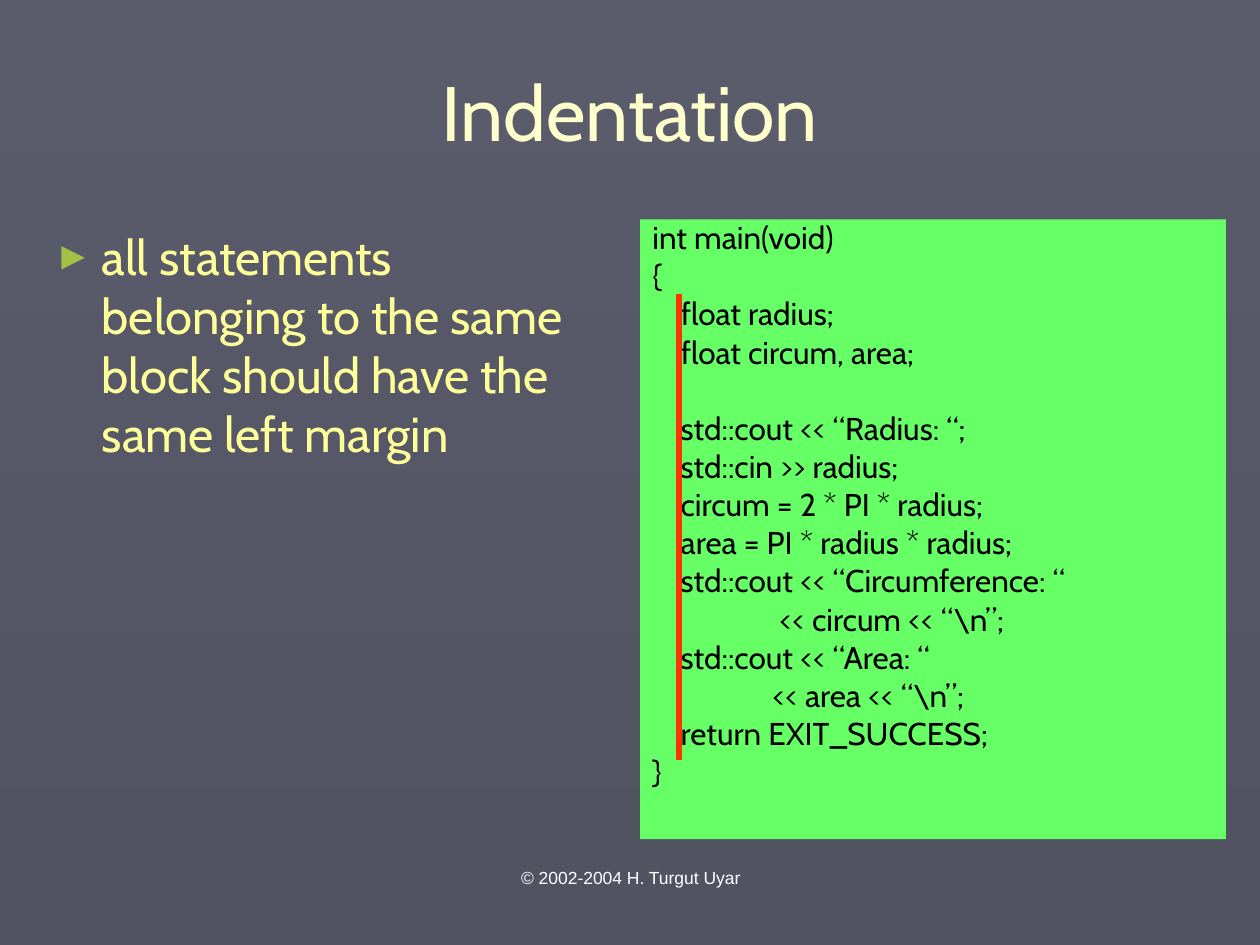
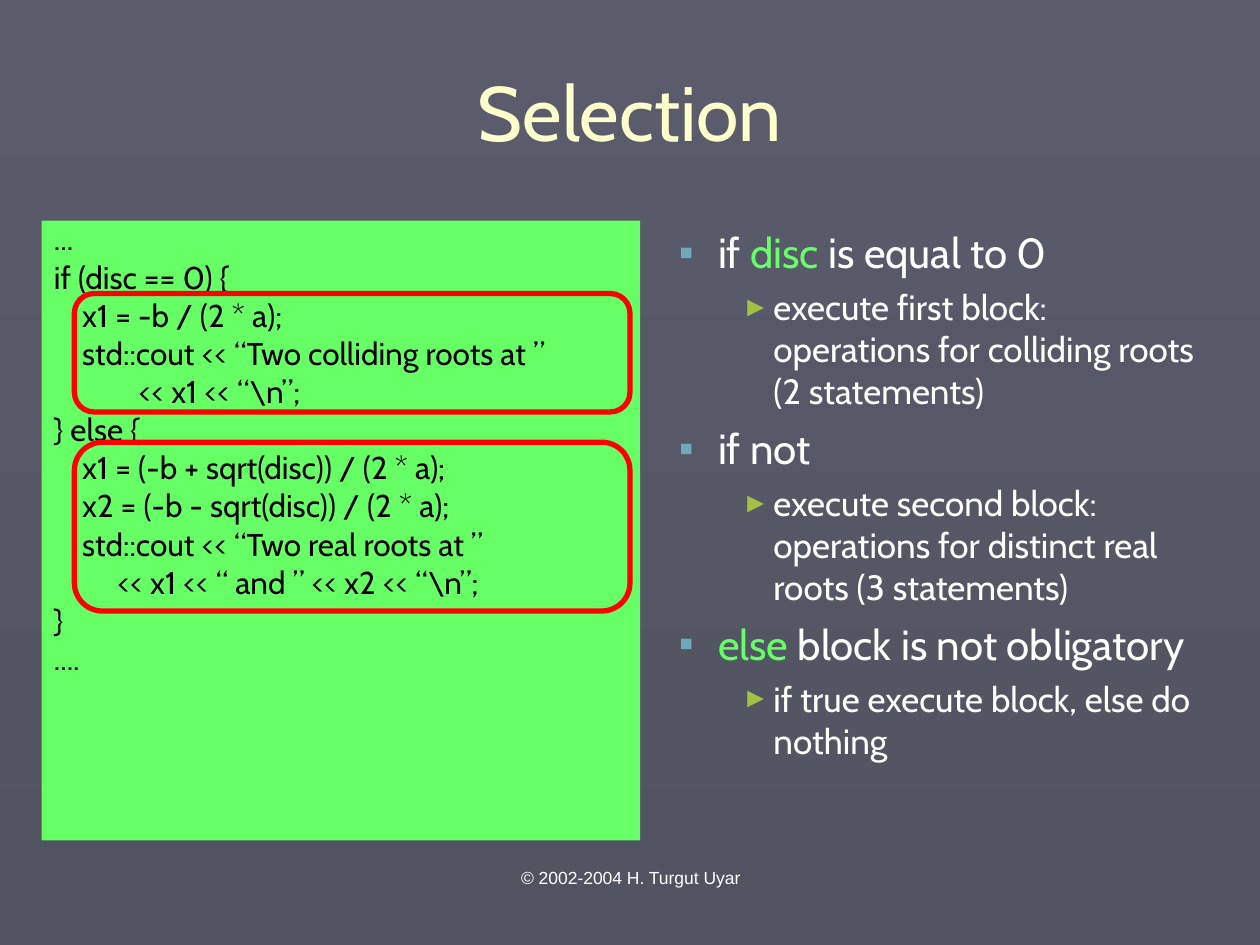
from lxml.etree import SubElement as Sub
from pptx import Presentation
from pptx.dml.color import RGBColor
from pptx.enum.shapes import MSO_CONNECTOR as Conn, MSO_SHAPE as Shape
from pptx.enum.text import MSO_ANCHOR as Anchor, PP_ALIGN as Align
from pptx.oxml.ns import qn
from pptx.util import Inches, Pt

rgb = RGBColor.from_string
GREEN, WHITE, CREAM, YELLOW = "66FF66", "FFFFFF", "FFFFCC", "FFFF99"
SPACE = 0.056  # width of one code column

# Text styles: font and paragraph values, then indents and bullet
TITLE = dict(font=dict(name="Cabin", size=Pt(44)), para=dict(alignment=Align.CENTER))
FOOT = dict(font=dict(name="Arial", size=Pt(10)), para=dict(alignment=Align.CENTER))
CODE = dict(font=dict(name="Cabin", size=Pt(18)),
            para=dict(line_spacing=0.8, space_before=Pt(4.5)))
MAIN = dict(font=dict(name="Cabin", size=Pt(28)), para=dict(space_before=Pt(7)),
            indent=(0.38, -0.38), bullet=("►", "A3C145", 80))
POINT = dict(font=dict(name="Cabin", size=Pt(24)), para=dict(space_before=Pt(6)),
             indent=(0.81, -0.31), bullet=("▪", "6FA9B7", 100))
DETAIL = dict(font=dict(name="Cabin", size=Pt(20)), para=dict(space_before=Pt(5)),
              indent=(1.25, -0.25), bullet=("►", "A3C145", 80))


def add_box(slide, left, top, width, height, fill=None):
    box = slide.shapes.add_textbox(*map(Inches, (left, top, width, height)))
    box.text_frame.word_wrap = True
    if fill:
        box.fill.solid()
        box.fill.fore_color.rgb = rgb(fill)
    return box.text_frame


def add_para(frame, style, *runs):
    para = frame.paragraphs[0]
    if para.runs:
        para = frame.add_paragraph()
    for key, value in style["para"].items():
        setattr(para, key, value)
    for text, color in runs:
        run = para.add_run()
        run.text = text
        for key, value in style["font"].items():
            setattr(run.font, key, value)
        run.font.color.rgb = rgb(color)
    props = para._p.get_or_add_pPr()
    if "indent" in style:
        for key, value in zip(("marL", "indent"), style["indent"]):
            props.set(key, str(Inches(value)))
    if "bullet" in style:
        char, color, size = style["bullet"]
        Sub(Sub(props, qn("a:buClr")), qn("a:srgbClr")).set("val", color)
        Sub(props, qn("a:buSzPct")).set("val", str(size * 1000))
        Sub(props, qn("a:buFont")).set("typeface", "Arial")
        Sub(props, qn("a:buChar")).set("char", char)
    return para


deck = Presentation()
deck.slide_width, deck.slide_height = Inches(10), Inches(7.5)

# Shared background
back = deck.slide_master.background.fill
back.gradient()
back.gradient_angle = 270
for stop, color, place in zip(back.gradient_stops, ("5A5C6C", "515361"), (0, 1)):
    stop.color.rgb = rgb(color)
    stop.position = place

# Code lines as (columns of indent, text)
circle = [
    (0, "int main(void)"),
    (0, "{"),
    (4, "float radius;"),
    (4, "float circum, area;"),
    (4, "std::cout << “Radius: “;"),
    (4, "std::cin >> radius;"),
    (4, "circum = 2 * PI * radius;"),
    (4, "area = PI * radius * radius;"),
    (4, "std::cout << “Circumference: “"),
    (18, "<< circum << “\\n”;"),
    (4, "std::cout << “Area: “"),
    (17, "<< area << “\\n”;"),
    (4, "return EXIT_SUCCESS;"),
    (0, "}"),
]
roots = [
    (0, "..."),
    (0, "if (disc == 0) {"),
    (4, "x1 = -b / (2 * a);"),
    (4, "std::cout << “Two colliding roots at ”"),
    (12, "<< x1 << “\\n”;"),
    (0, "} else {"),
    (4, "x1 = (-b + sqrt(disc)) / (2 * a);"),
    (4, "x2 = (-b - sqrt(disc)) / (2 * a);"),
    (4, "std::cout << “Two real roots at ”"),
    (9, "<< x1 << “ and ” << x2 << “\\n”;"),
    (0, "}"),
    (0, "...."),
]

# Bullet points as (style, runs)
margin = [(MAIN, [("all statements belonging to the same block "
                   "should have the same left margin", YELLOW)])]
cases = [
    (POINT, [("if ", WHITE), ("disc", GREEN), (" is equal to 0", WHITE)]),
    (DETAIL, [("execute first block: operations for colliding roots "
               "(2 statements)", WHITE)]),
    (POINT, [("if not", WHITE)]),
    (DETAIL, [("execute second block: operations for distinct real roots "
               "(3 statements)", WHITE)]),
    (POINT, [("else", GREEN), (" block is not obligatory", WHITE)]),
    (DETAIL, [("if true execute block, else do nothing", WHITE)]),
]

# Title, code panel, points and footer of each slide
pages = [
    ("Indentation", circle, (5.08, 1.74, 4.65, 4.92), margin, (0.33, 1.75, 4.58, 4.92)),
    ("Selection", roots, (0.33, 1.75, 4.75, 4.92), cases, (4.79, 1.75, 4.88, 4.92)),
]
slides = []
for title, code, panel, points, area in pages:
    slide = deck.slides.add_slide(deck.slide_layouts[6])
    slides.append(slide)
    frame = add_box(slide, *panel, fill=GREEN)
    for cols, text in code:
        para = add_para(frame, dict(CODE, indent=(cols * SPACE, 0)), (text, "000000"))
        if "Radius" in text:
            para.space_before = Pt(26.3)  # gap of one line after the declarations
    frame = add_box(slide, 0.33, 0.25, 9.34, 1.25)
    frame.vertical_anchor = Anchor.MIDDLE
    add_para(frame, TITLE, (title, CREAM))
    frame = add_box(slide, *area)
    for style, runs in points:
        add_para(frame, style, *runs)
    frame = add_box(slide, 3.42, 6.83, 3.17, 0.52)
    add_para(frame, FOOT, ("© 2002-2004 H. Turgut Uyar", WHITE))

# Margin line along the indented block
rule = slides[0].shapes.add_connector(
    Conn.STRAIGHT, *map(Inches, (5.39, 2.33, 5.39, 6.03)))
rule.line.color.rgb = rgb("FF3300")
rule.line.width = Pt(3)
Sub(rule._element.spPr, qn("a:effectLst"))

# Frames around the two branches
for top, height in ((2.33, 0.94), (3.51, 1.34)):
    ring = slides[1].shapes.add_shape(
        Shape.ROUNDED_RECTANGLE, *map(Inches, (0.59, top, 4.41, height)))
    ring.shadow.inherit = False
    ring.fill.background()
    ring.line.color.rgb = rgb("FF0000")
    ring.line.width = Pt(3)

deck.save("out.pptx")
